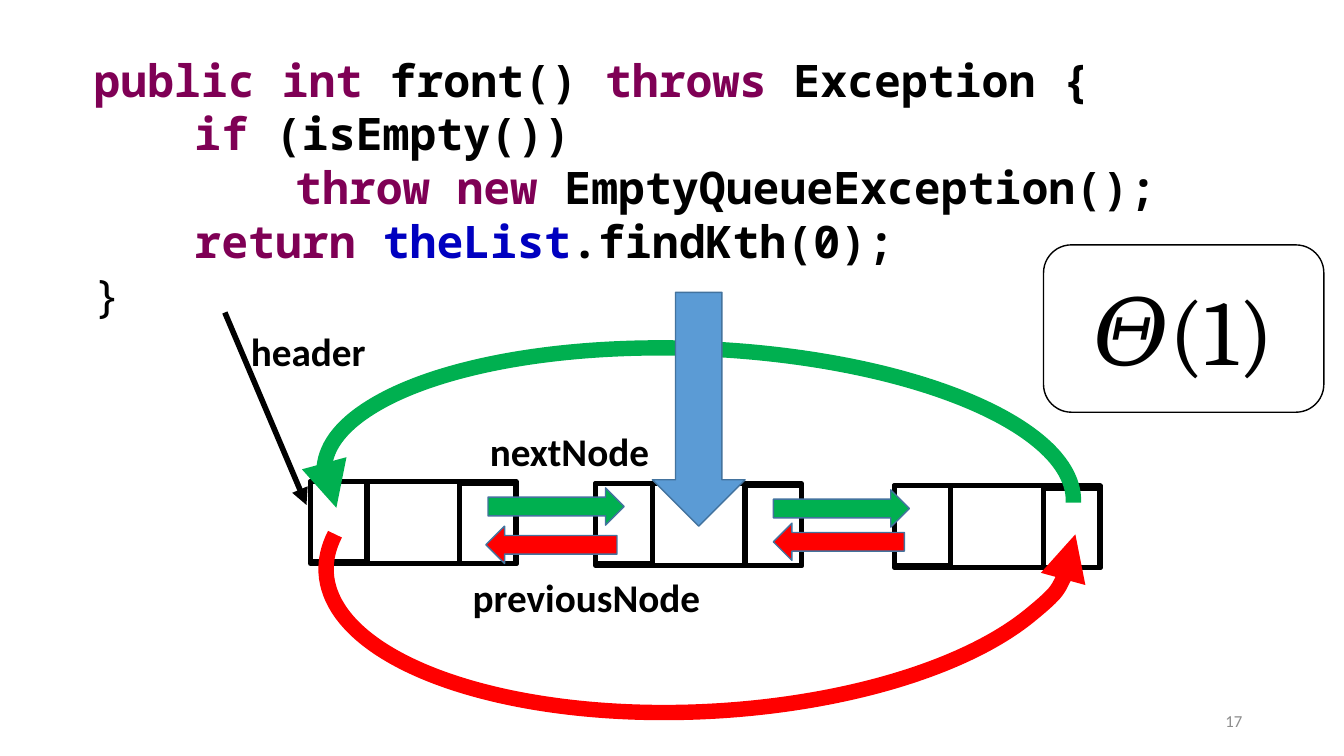
from dataclasses import dataclass

from lxml.etree import SubElement
from pptx import Presentation
from pptx.dml.color import RGBColor
from pptx.enum.shapes import MSO_CONNECTOR as Connector, MSO_SHAPE as Shape
from pptx.enum.text import MSO_ANCHOR as Anchor, PP_ALIGN as Align
from pptx.oxml.ns import qn
from pptx.util import Pt

PX = 9144  # EMU in one px, 100 px to the inch
COLORS = {
    "black": "000000", "keyword": "7F0055", "field": "0000C0", "gray": "8C8C8C",
    "next": "00B050", "previous": "FF0000", "pointer": "5B9BD5", "edge": "43739E",
}


@dataclass(frozen=True)
class Box:
    left: int
    top: int
    width: int
    height: int

    def emu(self) -> tuple[int, ...]:
        return tuple(n * PX for n in (self.left, self.top, self.width, self.height))


@dataclass(frozen=True)
class Link:
    preset: Shape
    box: Box
    color: str
    flip: str = ""


@dataclass(frozen=True)
class Loop:
    box: Box
    rotation: float
    color: str
    arrow_end: str
    flip: str = ""


@dataclass(frozen=True)
class Label:
    text: str
    box: Box
    size: int = 28
    bold: bool = True
    color: str = "black"
    align: Align = Align.LEFT
    anchor: Anchor = Anchor.TOP


CODE_BOX = Box(83, 47, 1250, 279)
CODE_TABS = (100, 200)
CODE = [
    [("public int", "keyword"), (" front() ", "black"), ("throws", "keyword"),
     (" Exception {", "black")],
    [("\tif", "keyword"), (" (isEmpty())", "black")],
    [("\t\tthrow new ", "keyword"), ("EmptyQueueException();", "black")],
    [("\treturn ", "keyword"), ("theList", "field"), (".findKth(0);", "black")],
    [("}", "black")],
]
NODES = [(308, 478), (591, 480), (887, 482)]
NEXT_LOOP = Loop(Box(321, 346, 744, 273), 2.5, "next", "headEnd")
PREVIOUS_LOOP = Loop(Box(323, 392, 744, 314), 357.1, "previous", "tailEnd", "flipV")
NEXT_LINKS = [
    Link(Shape.RIGHT_ARROW, Box(484, 484, 135, 37), "next"),
    Link(Shape.RIGHT_ARROW, Box(767, 486, 135, 37), "next"),
]
PREVIOUS_LINKS = [
    Link(Shape.RIGHT_ARROW, Box(767, 519, 130, 37), "previous", "flipH"),
    Link(Shape.RIGHT_ARROW, Box(482, 522, 130, 37), "previous", "flipH"),
]
FRONT_POINTER = Link(Shape.DOWN_ARROW, Box(647, 290, 92, 232), "pointer")
LABELS = [
    Label("header", Box(239, 320, 217, 57)),
    Label("nextNode", Box(476, 419, 217, 57)),
    Label("previousNode", Box(459, 564, 256, 57)),
]
PAGE_NUMBER = Label("17", Box(942, 695, 300, 40), 12, False, "gray",
                    Align.RIGHT, Anchor.MIDDLE)


def rgb(color: str) -> RGBColor:
    return RGBColor.from_string(COLORS[color])


def style_font(font, name: str, size: int, color: str, bold: bool) -> None:
    font.name, font.size, font.bold = name, Pt(size), bold
    font.color.rgb = rgb(color)


def style_line(line, color: str, width: float) -> None:
    line.color.rgb = rgb(color)
    line.width = Pt(width)


def add_arrowhead(line, end: str) -> None:
    SubElement(line._get_or_add_ln(), qn(f"a:{end}"), type="triangle")


def add_outline(shapes, preset: Shape, box: Box, color: str, width: float):
    shape = shapes.add_shape(preset, *box.emu())
    shape.shadow.inherit = False
    shape.fill.background()
    style_line(shape.line, color, width)
    return shape


def flip_shape(shape, flip: str) -> None:
    if flip:
        shape._element.spPr.xfrm.set(flip, "1")


def add_node(shapes, left: int, top: int) -> None:
    for box in (Box(left, top, 204, 81), Box(left, top, 56, 79),
                Box(left + 148, top + 2, 56, 79)):
        add_outline(shapes, Shape.RECTANGLE, box, "black", 3.75)


def add_link(shapes, link: Link) -> None:
    arrow = add_outline(shapes, link.preset, link.box, "edge", 1)
    arrow.fill.solid()
    arrow.fill.fore_color.rgb = rgb(link.color)
    flip_shape(arrow, link.flip)


def add_loop(shapes, loop: Loop) -> None:
    arc = add_outline(shapes, Shape.ARC, loop.box, loop.color, 11)
    arc.adjustments[0], arc.adjustments[1] = 104.46, 0
    arc.rotation = loop.rotation
    flip_shape(arc, loop.flip)
    add_arrowhead(arc.line, loop.arrow_end)


def add_label(shapes, label: Label) -> None:
    frame = shapes.add_textbox(*label.box.emu()).text_frame
    frame.word_wrap = True
    frame.vertical_anchor = label.anchor
    frame.text = label.text
    paragraph = frame.paragraphs[0]
    paragraph.alignment = label.align
    style_font(paragraph.runs[0].font, "Calibri", label.size, label.color, label.bold)


def set_tabs(paragraph) -> None:
    tabs = SubElement(paragraph._p.get_or_add_pPr(), qn("a:tabLst"))
    for position in CODE_TABS:
        SubElement(tabs, qn("a:tab"), pos=str(position * PX), algn="l")


def add_code(shapes) -> None:
    frame = shapes.add_textbox(*CODE_BOX.emu()).text_frame
    frame.word_wrap = True
    for number, tokens in enumerate(CODE):
        paragraph = frame.add_paragraph() if number else frame.paragraphs[0]
        set_tabs(paragraph)
        for text, color in tokens:
            run = paragraph.add_run()
            run.text = text
            style_font(run.font, "Noto Sans Mono", 32, color, text != "}")


def add_header_pointer(shapes) -> None:
    pointer = shapes.add_connector(Connector.STRAIGHT,
                                   *(n * PX for n in (223, 310, 304, 501)))
    style_line(pointer.line, "black", 4)
    add_arrowhead(pointer.line, "tailEnd")
    SubElement(pointer._element.spPr, qn("a:effectLst"))


def add_complexity(shapes) -> None:
    card = add_outline(shapes, Shape.ROUNDED_RECTANGLE, Box(1035, 243, 278, 166),
                       "black", 1)
    frame = card.text_frame
    frame.vertical_anchor = Anchor.MIDDLE
    paragraph = frame.paragraphs[0]
    paragraph.alignment = Align.CENTER
    # Letter spacing, in hundredths of a point, keeps theta clear of the bracket
    for text, spacing in (("𝛩", 1300), ("(1)", 0)):
        run = paragraph.add_run()
        run.text = text
        style_font(run.font, "Cambria", 66, "black", False)
        run._r.get_or_add_rPr().set("spc", str(spacing))


def main() -> None:
    deck = Presentation()
    deck.slide_width, deck.slide_height = 1333 * PX, 750 * PX
    shapes = deck.slides.add_slide(deck.slide_layouts[6]).shapes

    # Code listing
    add_code(shapes)

    # Doubly linked list
    add_header_pointer(shapes)
    for left, top in NODES:
        add_node(shapes, left, top)
    for link in NEXT_LINKS:
        add_link(shapes, link)
    add_loop(shapes, NEXT_LOOP)
    for link in PREVIOUS_LINKS:
        add_link(shapes, link)
    add_loop(shapes, PREVIOUS_LOOP)
    for label in LABELS:
        add_label(shapes, label)

    # Front element, running time and page number
    add_link(shapes, FRONT_POINTER)
    add_complexity(shapes)
    add_label(shapes, PAGE_NUMBER)

    deck.save("out.pptx")


if __name__ == "__main__":
    main()
